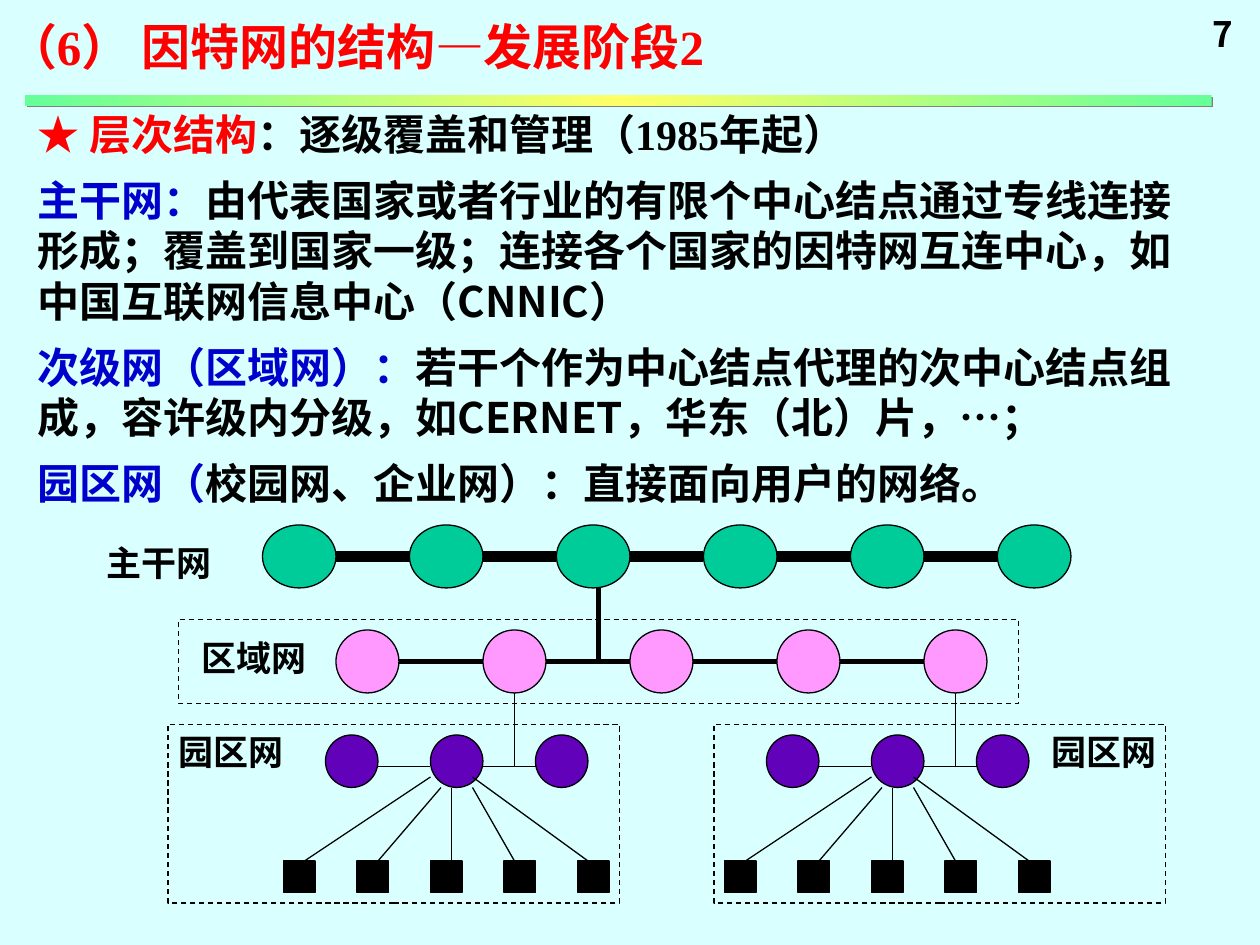
"""Build the slide on the hierarchical stage of the Internet's structure."""
import copy

import pptx
import pptx.dml.color
import pptx.enum.dml
import pptx.enum.shapes
import pptx.oxml
import pptx.oxml.ns
import pptx.util

Pt = pptx.util.Pt
RGBColor = pptx.dml.color.RGBColor
SHAPE = pptx.enum.shapes.MSO_SHAPE

BACKGROUND = RGBColor(0xD9, 0xFF, 0xFF)
BLACK = RGBColor(0, 0, 0)
RED = RGBColor(0xFF, 0, 0)
BLUE = RGBColor(0, 0, 0xCC)
GREEN = RGBColor(0, 0xCC, 0x99)
PINK = RGBColor(0xFF, 0x99, 0xFF)
PURPLE = RGBColor(0x61, 0x01, 0xB9)
MINT = RGBColor(0x66, 0xFF, 0x99)
YELLOW = RGBColor(0xFF, 0xFF, 0x66)

SERIF = "Times New Roman"
SANS = "Noto Sans CJK SC"
LINE_HEIGHT = 1.2

DEFINITIONS = [
    (SERIF, [("★ 层次结构", RED), ("：逐级覆盖和管理（1985年起）", BLACK)]),
    (SANS, [("主干网：", BLUE),
            ("由代表国家或者行业的有限个中心结点通过专线连接形成；覆盖到国家一级；"
             "连接各个国家的因特网互连中心，如中国互联网信息中心（CNNIC）", BLACK)]),
    (SANS, [("次级网（区域网）：", BLUE),
            ("若干个作为中心结点代理的次中心结点组成，容许级内分级，"
             "如CERNET，华东（北）片，", BLACK),
            ("…", BLACK, SERIF), ("；", BLACK)]),
    (SANS, [("园区网（", BLUE), ("校园网、企业网）：直接面向用户的网络。", BLACK)]),
]

HOST_LINKS = [
    (174, 492, 246, 444),
    (252, 450, 216, 492),
    (258, 450, 258, 492),
    (270, 450, 294, 492),
    (270, 444, 336, 492),
]


def add_text(slide, box, paragraphs, size, space_after=0):
    """Add bold paragraphs, each a font name and a list of coloured runs."""
    frame = slide.shapes.add_textbox(*map(Pt, box)).text_frame
    frame.word_wrap = True
    frame.margin_right = 0
    for index, (typeface, pieces) in enumerate(paragraphs):
        paragraph = frame.add_paragraph() if index else frame.paragraphs[0]
        paragraph.line_spacing = Pt(size * LINE_HEIGHT)
        paragraph.space_after = Pt(space_after)
        paragraph.font.name = typeface
        paragraph.font.size = Pt(size)
        paragraph.font.bold = True
        for words, color, *other_typeface in pieces:
            run = paragraph.add_run()
            run.text = words
            run.font.color.rgb = color
            if other_typeface:
                run.font.name = other_typeface[0]


def add_label(slide, left, top, words, typeface=SERIF):
    """Add a short black label."""
    width = 20 * len(words) + 14
    add_text(slide, (left, top, width, 31.5), [(typeface, [(words, BLACK)])], 20)


def add_node(slide, kind, box, color=None):
    """Add an outlined node, or a dashed frame when no colour is given."""
    node = slide.shapes.add_shape(kind, *map(Pt, box))
    node.shadow.inherit = False
    node.line.color.rgb = BLACK
    node.line.width = Pt(0.75)
    if color is None:
        node.fill.background()
        node.line.dash_style = pptx.enum.dml.MSO_LINE.DASH
    else:
        node.fill.solid()
        node.fill.fore_color.rgb = color


def add_link(slide, ends, weight=0.75):
    """Add a black straight line without a shadow."""
    link = slide.shapes.add_connector(
        pptx.enum.shapes.MSO_CONNECTOR.STRAIGHT, *map(Pt, ends))
    link.line.color.rgb = BLACK
    link.line.width = Pt(weight)
    link._element.spPr.append(pptx.oxml.parse_xml(
        f"<a:effectLst {pptx.oxml.ns.nsdecls('a')}/>"))


def add_chain(slide, left, top, size, pitch, count, color, weight):
    """Add a row of equally spaced round nodes joined by lines."""
    width, height = size
    middle = top + height / 2
    for index in range(count):
        x = left + index * pitch
        add_node(slide, SHAPE.OVAL, (x, top, width, height), color)
        if index < count - 1:
            add_link(slide, (x + width, middle, x + pitch, middle), weight)


def add_campus(slide, shift, frame_left, label_left):
    """Add one campus network with its routers, hosts and uplink."""
    for index in range(3):
        add_node(slide, SHAPE.OVAL, (186 + shift + 60 * index, 420, 30, 30), PURPLE)
    for index in range(5):
        add_node(slide, SHAPE.RECTANGLE,
                 (162 + shift + 42 * index, 492, 18, 18), BLACK)
    router_links = [(216, 438, 246, 438), (276, 438, 306, 438)]
    uplink = (294, 396, 294, 438)
    for x1, y1, x2, y2 in [*router_links, *HOST_LINKS, uplink]:
        add_link(slide, (x1 + shift, y1, x2 + shift, y2))
    add_node(slide, SHAPE.RECTANGLE, (frame_left, 414, 258, 102))
    add_label(slide, label_left, 414, "园区网")


def add_divider(slide):
    """Add the shadowed gradient bar under the title."""
    bar = slide.shapes.add_shape(SHAPE.RECTANGLE, *map(Pt, (14.4, 54.5, 678, 6)))
    bar.line.fill.background()
    bar.fill.gradient()
    properties = bar._element.spPr
    stops = properties.find(".//" + pptx.oxml.ns.qn("a:gsLst"))
    stops.insert(1, copy.deepcopy(stops[0]))
    for stop, position, color in zip(
            bar.fill.gradient_stops, (0, 0.5, 1), (MINT, YELLOW, MINT)):
        stop.position = position
        stop.color.rgb = color
    bar.fill.gradient_angle = 0
    properties.append(pptx.oxml.parse_xml(
        f"<a:effectLst {pptx.oxml.ns.nsdecls('a')}>"
        '<a:outerShdw dist="17780" dir="2700000" algn="ctr" rotWithShape="0">'
        '<a:srgbClr val="808080"/></a:outerShdw></a:effectLst>'))


def main():
    """Build and save the presentation."""
    presentation = pptx.Presentation()
    presentation.slide_width = Pt(720)
    presentation.slide_height = Pt(540)
    slide = presentation.slides.add_slide(presentation.slide_layouts[6])
    slide.background.fill.solid()
    slide.background.fill.fore_color.rgb = BACKGROUND

    title = "（6） 因特网的结构—发展阶段2"
    add_text(slide, (-2.5, 6, 450, 41), [(SERIF, [(title, RED)])], 28)
    add_text(slide, (14.4, 58.3, 679, 236), DEFINITIONS, 24, space_after=9)

    add_chain(slide, 150, 300, (42, 36), 84, 6, GREEN, 6)
    add_chain(slide, 192, 360, (36, 36), 84, 5, PINK, 3)
    add_link(slide, (342, 336, 342, 378), 3)
    add_node(slide, SHAPE.RECTANGLE, (102, 354, 480, 48))
    add_label(slide, 54, 306, "主干网")
    add_label(slide, 108, 360, "区域网")
    add_campus(slide, 0, 96, 95)
    add_campus(slide, 252, 408, 594)

    add_divider(slide)
    add_label(slide, 686, 3.6, "7", SANS)
    presentation.save("out.pptx")


if __name__ == "__main__":
    main()
